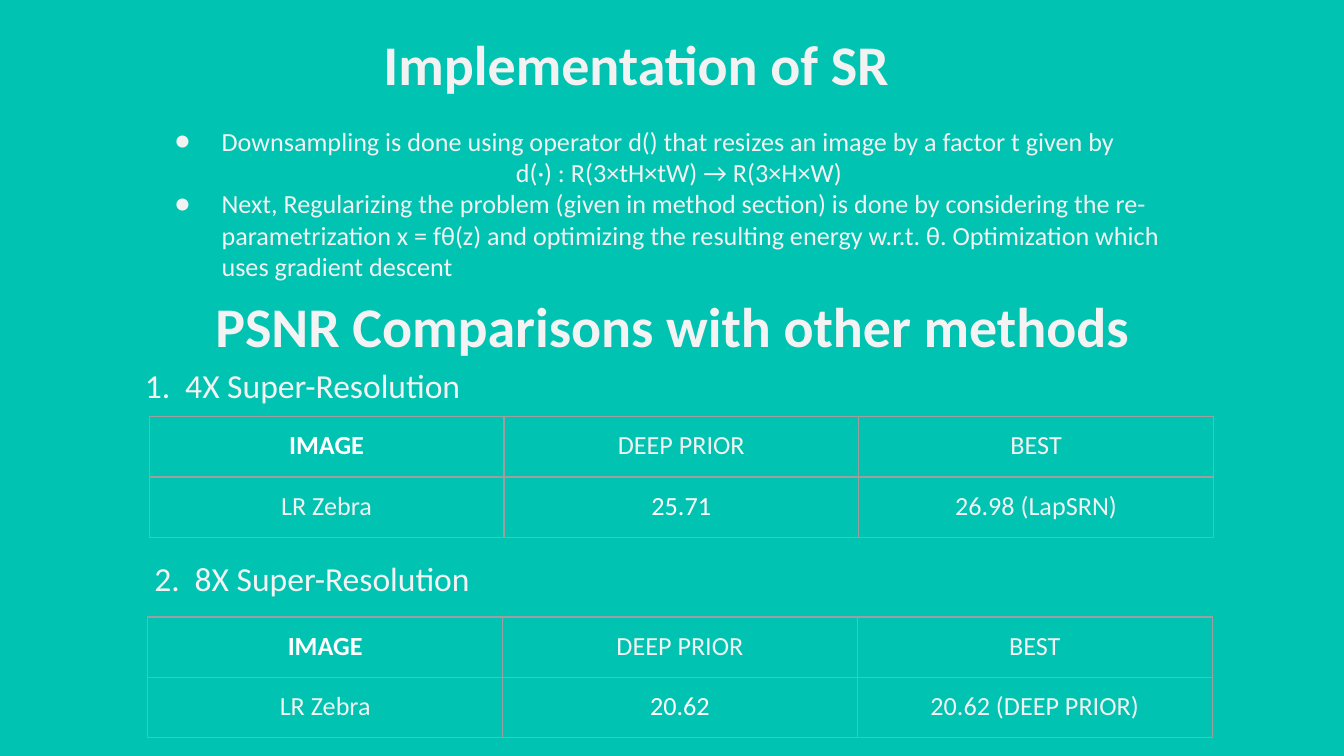
import pptx
import pptx.util
import pptx.dml.color
import pptx.enum.text
import pptx.oxml.ns
from lxml import etree
from pptx.util import Inches, Pt

PALE, SOFT, WHITE, TEAL, GREY = "F2F2F2", "F3F3F3", "FFFFFF", "00C3B1", "9E9E9E"
LEFT = pptx.enum.text.PP_ALIGN.LEFT
CENTER = pptx.enum.text.PP_ALIGN.CENTER
TOP = pptx.enum.text.MSO_ANCHOR.TOP
MIDDLE = pptx.enum.text.MSO_ANCHOR.MIDDLE

TITLES = [
    ("Implementation of SR", (1.13, 0.12, 7.21, 0.71), PALE),
    ("PSNR Comparisons with other methods", (0.79, 2.07, 8.43, 0.63), SOFT),
]
STEPS = [
    ("Downsampling is done using operator d() that resizes an image by a factor t given by", True),
    ("d(·) : R(3×tH×tW) → R(3×H×W)", False),
    ("Next, Regularizing the problem (given in method section) is done by considering the "
     "re-parametrization x = fθ(z) and optimizing the resulting energy w.r.t. θ. "
     "Optimization which uses gradient descent", True),
]
HEADER = ["IMAGE", "DEEP PRIOR", "BEST"]
COMPARISONS = [
    ("1.\t4X Super-Resolution", (0.98, 2.48), (1.11, 3.1), ["LR Zebra", "25.71", "26.98 (LapSRN)"]),
    ("2.\t8X Super-Resolution", (1.05, 3.92), (1.1, 4.59), ["LR Zebra", "20.62", "20.62 (DEEP PRIOR)"]),
]
COLUMN_WIDTH, ROW_HEIGHT = 2.64, 0.45


def rgb(color):
    return pptx.dml.color.RGBColor.from_string(color)


def add_element(parent, tag, **attributes):
    return etree.SubElement(parent, pptx.oxml.ns.qn(tag), attributes)


def style(para, size, color, bold=False, align=LEFT):
    para.alignment = align
    para.font.name = "Calibri"
    para.font.size = Pt(size)
    para.font.bold = bold
    para.font.color.rgb = rgb(color)


def indent(para, margin, first=0):
    properties = para._p.get_or_add_pPr()
    properties.set("marL", str(Inches(margin)))
    properties.set("indent", str(Inches(first)))
    return properties


def add_box(place, anchor=TOP):
    frame = page.shapes.add_textbox(*map(Inches, place)).text_frame
    frame.word_wrap = True
    frame.vertical_anchor = anchor
    frame.margin_left = frame.margin_right = Inches(0.1)
    frame.margin_top = frame.margin_bottom = Inches(0.1)
    return frame


def add_heading(text, place):
    para = add_box((*place, 7.58, 0.77), MIDDLE).paragraphs[0]
    para.text = text
    indent(para, 0.3, -0.3)
    style(para, 18, SOFT)


def fill_cell(cell, text, color, bold):
    cell.margin_left = cell.margin_right = Inches(0.1)
    cell.margin_top = cell.margin_bottom = Inches(0.1)
    properties = cell._tc.get_or_add_tcPr()
    for side in ("a:lnL", "a:lnR", "a:lnT", "a:lnB"):
        line = add_element(properties, side, w=str(Pt(0.75)))
        add_element(add_element(line, "a:solidFill"), "a:srgbClr", val=GREY)
    cell.fill.background()
    para = cell.text_frame.paragraphs[0]
    para.text = text
    style(para, 14, color, bold, CENTER)


def add_scores(place, rows):
    size = COLUMN_WIDTH * len(HEADER), ROW_HEIGHT * len(rows)
    table = page.shapes.add_table(len(rows), len(HEADER), *map(Inches, place + size)).table
    table.first_row = table.horz_banding = False
    for row in table.rows:
        row.height = Inches(ROW_HEIGHT)
    for column in table.columns:
        column.width = Inches(COLUMN_WIDTH)
    for r, values in enumerate(rows):
        for c, text in enumerate(values):
            color = WHITE if r == c else PALE
            fill_cell(table.cell(r, c), text, color, r == c == 0)


deck = pptx.Presentation()
deck.slide_width, deck.slide_height = Inches(10), Inches(10 * 9 / 16)
page = deck.slides.add_slide(deck.slide_layouts[6])
page.background.fill.solid()
page.background.fill.fore_color.rgb = rgb(TEAL)

for text, place, color in TITLES:
    para = add_box(place).paragraphs[0]
    para.text = text
    style(para, 30, color, True, CENTER)

frame = add_box((1.05, 0.83, 7.85, 1.38))
for i, (text, bulleted) in enumerate(STEPS):
    para = frame.add_paragraph() if i else frame.paragraphs[0]
    para.text = text
    if bulleted:
        properties = indent(para, 0.5, -0.35)
        add_element(add_element(properties, "a:buClr"), "a:srgbClr", val=PALE)
        add_element(properties, "a:buFont", typeface="Calibri")
        add_element(properties, "a:buChar", char="●")
    else:
        indent(para, 2.69)
    style(para, 14, PALE)

for heading, heading_place, table_place, scores in COMPARISONS:
    add_heading(heading, heading_place)
    add_scores(table_place, [HEADER, scores])

deck.save("out.pptx")
